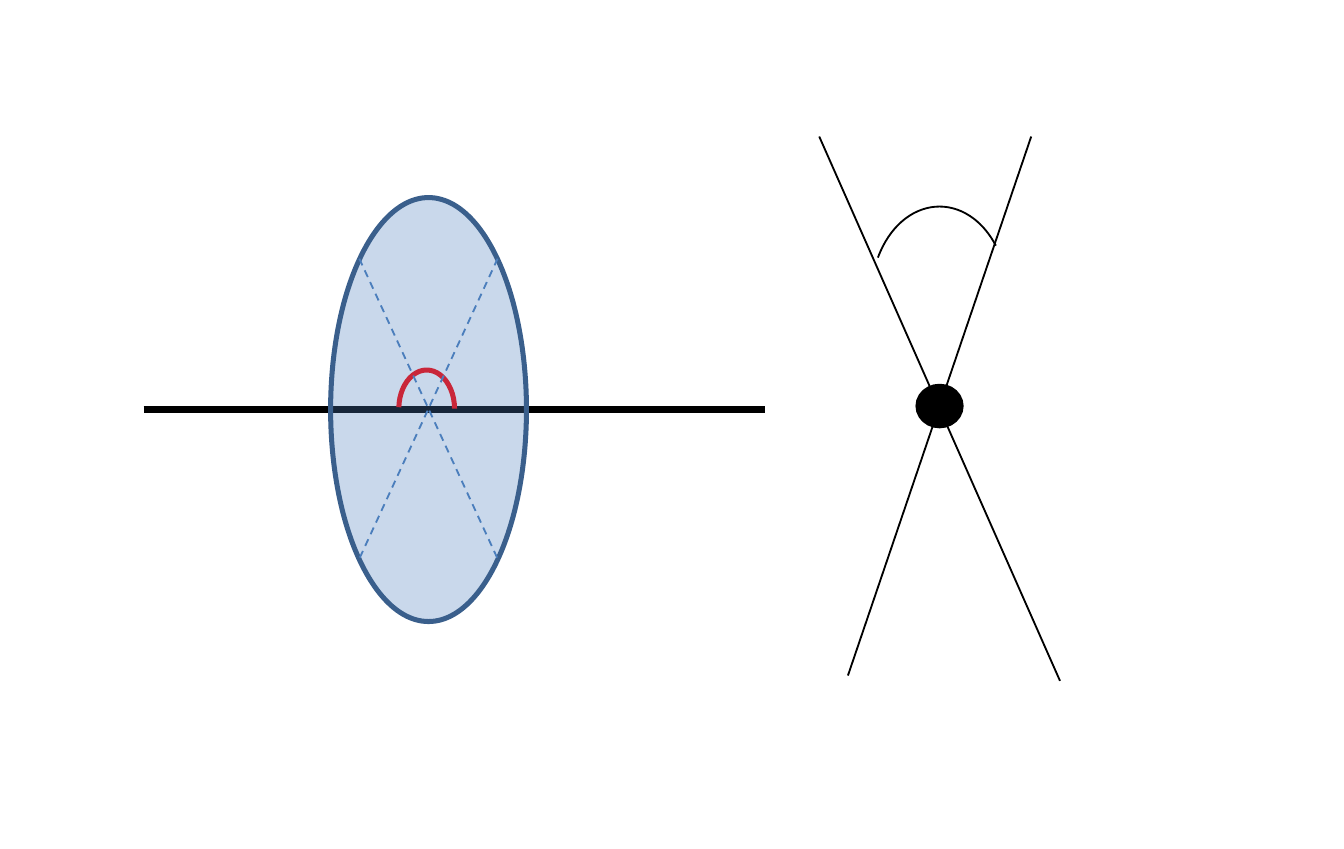
import lxml.etree
import pptx
import pptx.dml.color
import pptx.enum.dml
import pptx.enum.shapes
import pptx.oxml.ns
import pptx.util

Inches = pptx.util.Inches
RGBColor = pptx.dml.color.RGBColor
MSO_SHAPE = pptx.enum.shapes.MSO_SHAPE

BLACK = RGBColor(0x00, 0x00, 0x00)
RED = RGBColor(0xFF, 0x00, 0x00)
LENS_BLUE = RGBColor(0x4F, 0x81, 0xBD)
RIM_BLUE = RGBColor(0x3A, 0x5F, 0x8C)
DASH_BLUE = RGBColor(0x4B, 0x7E, 0xBC)
qn = pptx.oxml.ns.qn


class Diagram:
    thin = 0.75
    bold = 2

    def __init__(self, slide):
        self.shapes = slide.shapes

    def stroke(self, element, color, width):
        element.line.color.rgb = color
        element.line.width = pptx.util.Pt(width)

    def line(self, start, end, color=BLACK, width=thin, dashed=False):
        ends = [Inches(value) for value in (*start, *end)]
        segment = self.shapes.add_connector(
            pptx.enum.shapes.MSO_CONNECTOR.STRAIGHT, *ends)
        self.stroke(segment, color, width)
        if dashed:
            segment.line.dash_style = pptx.enum.dml.MSO_LINE.DASH
        properties = segment._element.spPr
        lxml.etree.SubElement(properties, qn("a:effectLst"))

    def outline(self, kind, box, color, width):
        figure = self.shapes.add_shape(kind, *[Inches(value) for value in box])
        figure.shadow.inherit = False
        self.stroke(figure, color, width)
        return figure

    def ellipse(self, box, fill, color, opacity=100):
        disc = self.outline(MSO_SHAPE.OVAL, box, color, self.bold)
        disc.fill.solid()
        disc.fill.fore_color.rgb = fill
        if opacity < 100:
            shade = disc._element.spPr.find(qn("a:solidFill"))[0]
            alpha = lxml.etree.SubElement(shade, qn("a:alpha"))
            alpha.set("val", str(opacity * 1000))

    def arc(self, box, start_degrees, end_degrees, color, width):
        curve = self.outline(MSO_SHAPE.ARC, box, color, width)
        curve.fill.background()
        for index, degrees in enumerate((start_degrees, end_degrees)):
            curve.adjustments[index] = degrees * 0.6


def main():
    deck = pptx.Presentation()
    deck.slide_width = pptx.util.Emu(6840538)
    deck.slide_height = pptx.util.Emu(4321175)
    deck.element.find(qn("p:sldSz")).attrib.pop("type", None)
    diagram = Diagram(deck.slides.add_slide(deck.slide_layouts[6]))

    diagram.line((0.8, 2.28), (4.26, 2.28), width=2.5)
    diagram.arc((2.22, 2.06, 0.31, 0.43), 182.84, 0, RED, diagram.bold)
    diagram.ellipse((1.84, 1.1, 1.09, 2.36), LENS_BLUE, RIM_BLUE, opacity=30)
    left, right, top, bottom = 2, 2.77, 1.44, 3.11
    for upper, lower in ((left, right), (right, left)):
        diagram.line((upper, top), (lower, bottom), DASH_BLUE, dashed=True)

    diagram.ellipse((5.11, 2.15, 0.24, 0.22), BLACK, BLACK)
    diagram.line((4.56, 0.76), (5.9, 3.79))
    diagram.line((5.74, 0.76), (4.72, 3.76))
    diagram.arc((4.85, 1.15, 0.76, 1), 212.19, 317.99, BLACK, diagram.thin)

    deck.save("out.pptx")


if __name__ == "__main__":
    main()
